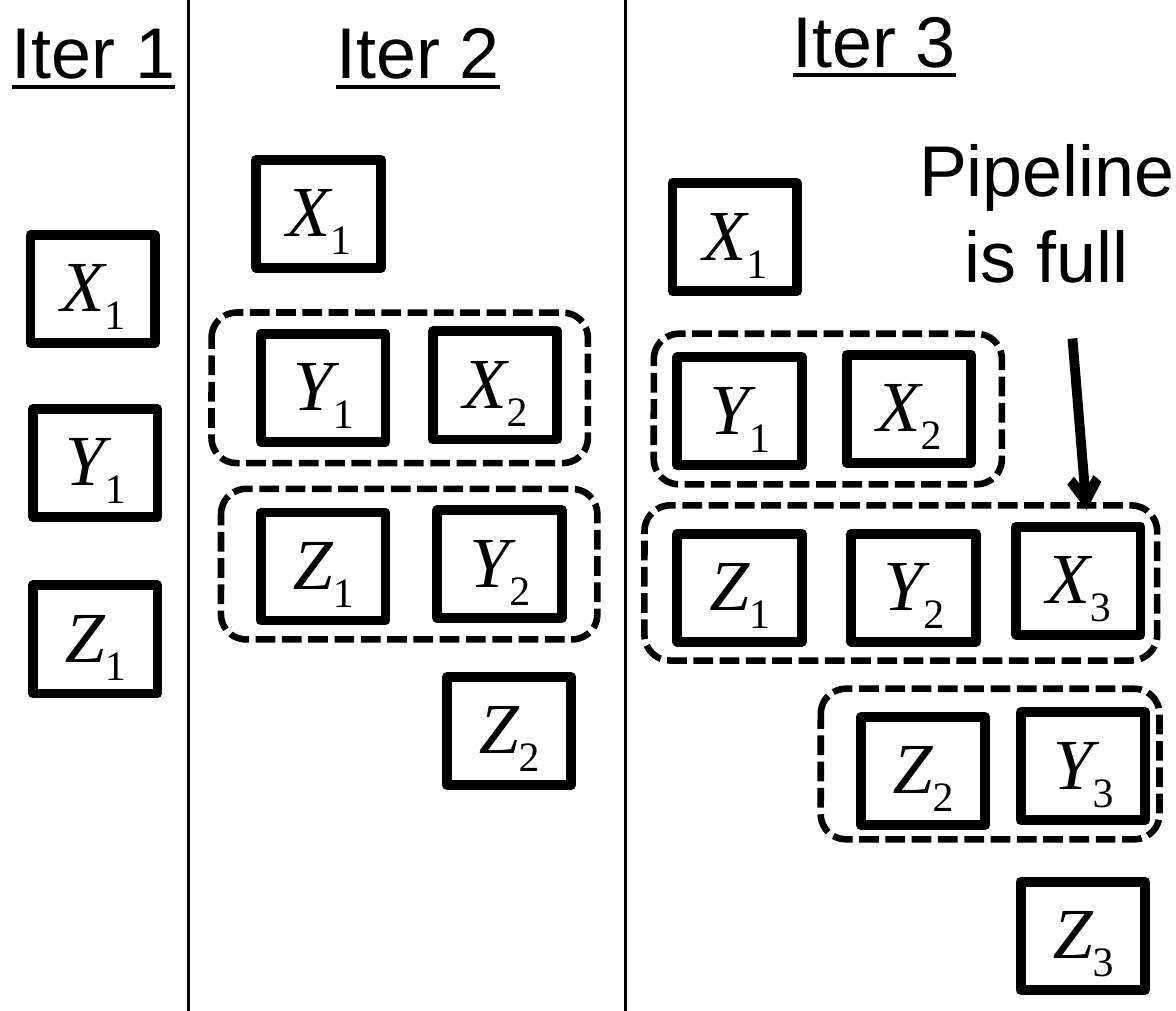
from pptx import Presentation
from pptx.dml.color import RGBColor
from pptx.enum.dml import MSO_LINE
from pptx.enum.shapes import MSO_CONNECTOR, MSO_SHAPE
from pptx.enum.text import MSO_ANCHOR, MSO_AUTO_SIZE, PP_ALIGN
from pptx.oxml.ns import qn
from pptx.util import Inches, Pt
from lxml.etree import SubElement

COLORS = {"ink": "000000"}
INK = RGBColor.from_string(COLORS["ink"])
SIZE = 22
BOX_W, BOX_H = 0.53, 0.46

# Each task: its number, then the corners of its X, Y and Z boxes
TASKS = [
    (1, [(0.13, 1.0), (0.14, 1.74), (0.14, 2.49)]),
    (1, [(1.09, 0.68), (1.11, 1.42), (1.11, 2.18)]),
    (2, [(1.84, 1.41), (1.86, 2.17), (1.9, 2.88)]),
    (1, [(2.86, 0.78), (2.88, 1.52), (2.88, 2.27)]),
    (2, [(3.6, 1.51), (3.62, 2.27), (3.66, 3.05)]),
    (3, [(4.32, 2.24), (4.34, 3.03), (4.34, 3.75)]),
]

# Stages that run at the same time: left, top, width, height
GROUPS = [
    (0.9, 1.33, 1.6, 0.64),
    (0.94, 2.08, 1.6, 0.64),
    (2.78, 1.42, 1.48, 0.64),
    (2.74, 2.15, 2.18, 0.66),
    (3.49, 2.93, 1.44, 0.64),
]

TITLES = [("Iter 1", 0, 0, 0.92), ("Iter 2", 1.38, 0, 0.92), ("Iter 3", 3.32, -0.05, 0.86)]
RULES = [0.8, 2.66]


def set_frame(frame):
    frame.word_wrap = True
    frame.margin_left = frame.margin_right = Inches(0.05)
    frame.margin_top = frame.margin_bottom = Inches(0.03)


def set_font(run, name):
    run.font.name = name
    run.font.size = Pt(SIZE)
    run.font.color.rgb = INK


def add_shape(slide, kind, area, weight):
    shape = slide.shapes.add_shape(kind, *map(Inches, area))
    shape.shadow.inherit = False
    shape.fill.background()
    shape.line.color.rgb = INK
    shape.line.width = Pt(weight)
    return shape


def add_stage(slide, letter, number, left, top):
    box = add_shape(slide, MSO_SHAPE.RECTANGLE, (left, top, BOX_W, BOX_H), 3)
    frame = box.text_frame
    set_frame(frame)
    frame.vertical_anchor = MSO_ANCHOR.MIDDLE
    para = frame.paragraphs[0]
    para.alignment = PP_ALIGN.CENTER
    for text in (letter, str(number)):
        run = para.add_run()
        run.text = text
        set_font(run, "Times New Roman")
        run.font.italic = text == letter
    # The number is a subscript
    run.font._element.set("baseline", "-25000")


def add_group(slide, area):
    group = add_shape(slide, MSO_SHAPE.ROUNDED_RECTANGLE, area, 2)
    group.adjustments[0] = 0.167
    group.line.dash_style = MSO_LINE.SQUARE_DOT


def add_line(slide, start, end, weight, arrow=False):
    line = slide.shapes.add_connector(MSO_CONNECTOR.STRAIGHT, *map(Inches, start + end))
    line.line.color.rgb = INK
    line.line.width = Pt(weight)
    if arrow:
        SubElement(line.line._get_or_add_ln(), qn("a:tailEnd"), type="arrow")
    SubElement(line._element.spPr, qn("a:effectLst"))


def add_label(slide, text, area, align=PP_ALIGN.LEFT, under=None):
    frame = slide.shapes.add_textbox(*map(Inches, area)).text_frame
    set_frame(frame)
    frame.auto_size = MSO_AUTO_SIZE.SHAPE_TO_FIT_TEXT
    frame.text = text
    para = frame.paragraphs[0]
    para.alignment = align
    for run in para.runs:
        set_font(run, "Arial")
        run.font.underline = under


def main():
    deck = Presentation()
    deck.slide_width, deck.slide_height = Inches(5), Inches(4.3)
    slide = deck.slides.add_slide(deck.slide_layouts[6])

    # Stage boxes
    for number, spots in TASKS:
        for letter, (left, top) in zip("XYZ", spots):
            add_stage(slide, letter, number, left, top)

    # Column rules and titles
    for x in RULES:
        add_line(slide, (x, 0), (x, 4.3), 1)
    for text, left, top, width in TITLES:
        add_label(slide, text, (left, top, width, 0.42), under=True)

    # Dashed groups
    for area in GROUPS:
        add_group(slide, area)

    # Note and its arrow
    add_line(slide, (4.56, 1.44), (4.62, 2.17), 3, arrow=True)
    add_label(slide, "Pipeline is full", (3.74, 0.5, 1.42, 0.79), PP_ALIGN.CENTER)

    deck.save("out.pptx")


if __name__ == "__main__":
    main()
